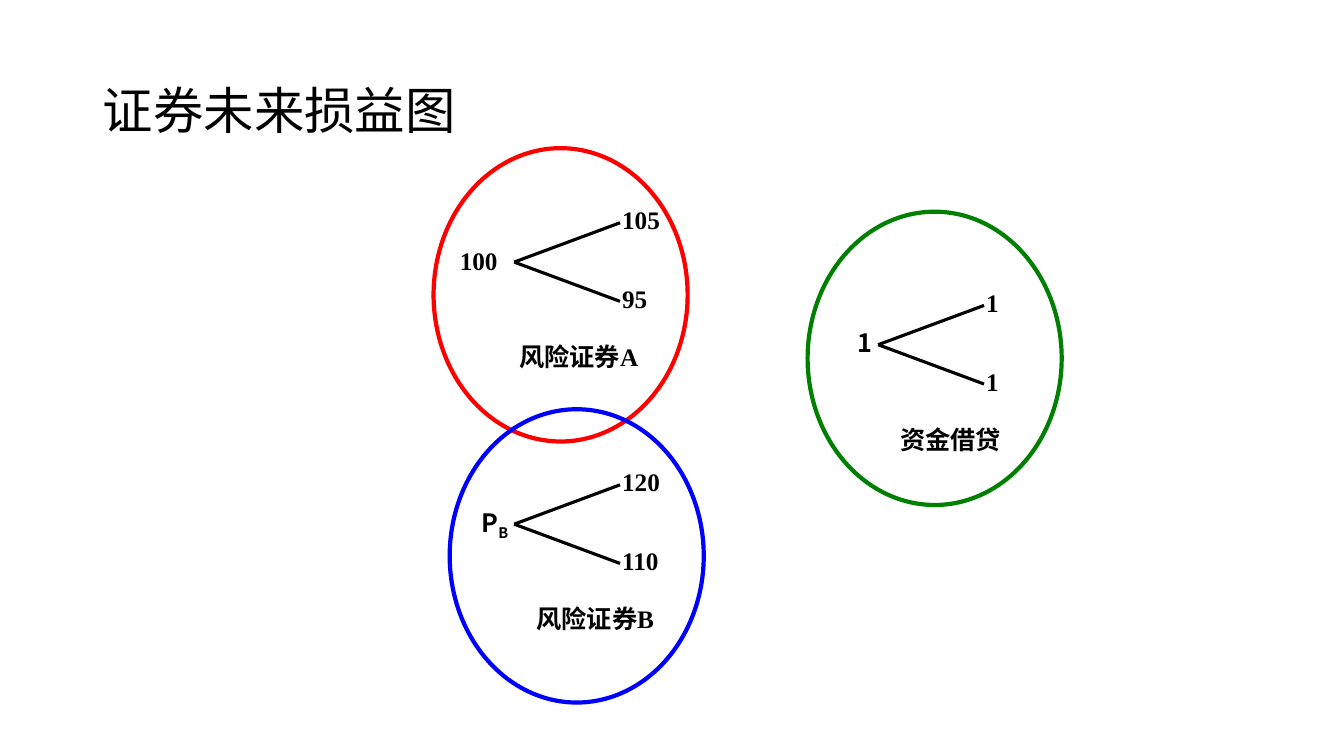
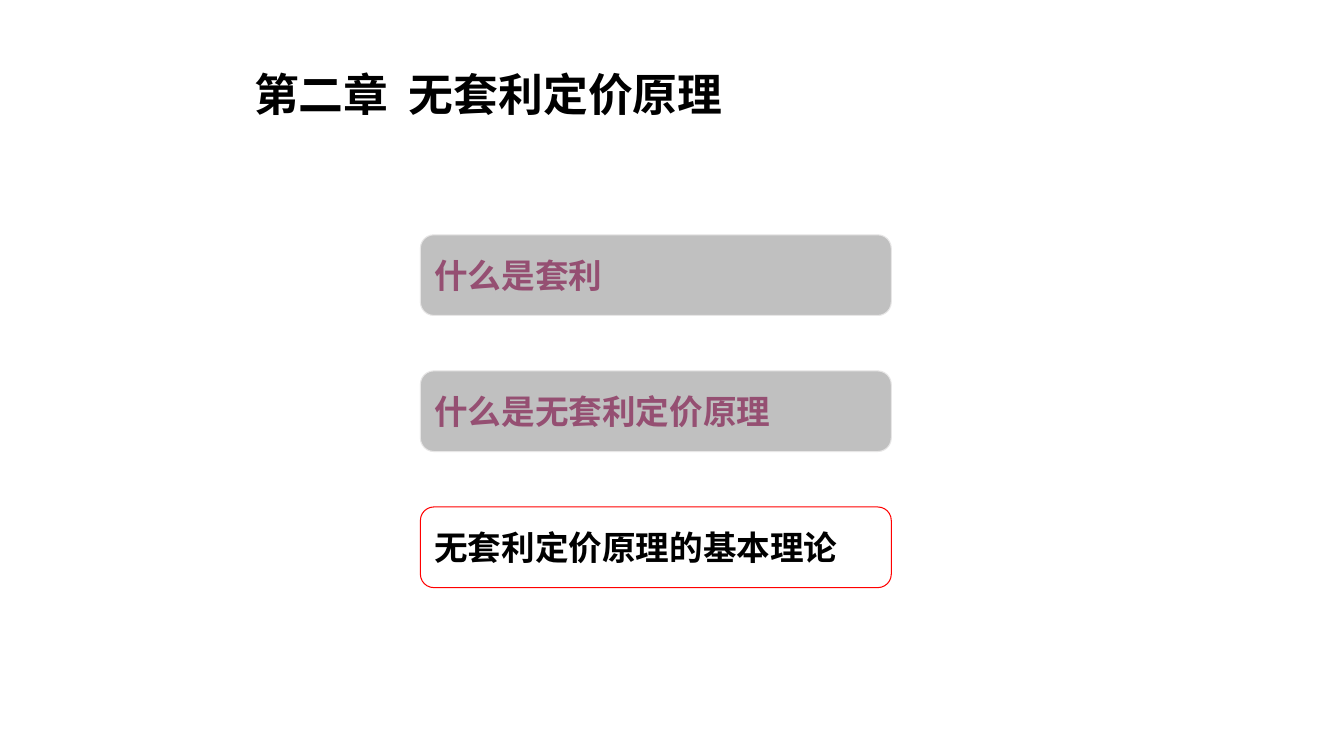
from lxml.etree import SubElement
from pptx import Presentation
from pptx.dml.color import RGBColor
from pptx.enum.shapes import MSO_CONNECTOR as Link, MSO_SHAPE as Form
from pptx.enum.text import MSO_ANCHOR as Anchor, MSO_AUTO_SIZE as Fit, PP_ALIGN as Align
from pptx.oxml.ns import qn
from pptx.util import Inches, Pt

BLACK = RGBColor(0x00, 0x00, 0x00)
WHITE = RGBColor(0xFF, 0xFF, 0xFF)
RED = RGBColor(0xFF, 0x00, 0x00)
BLUE = RGBColor(0x00, 0x00, 0xFF)
GREEN = RGBColor(0x00, 0x80, 0x00)
GREY = RGBColor(0xC0, 0xC0, 0xC0)
PALE = RGBColor(0xE7, 0xE6, 0xE6)
PLUM = RGBColor(0x95, 0x4F, 0x72)
SANS = "Noto Sans CJK SC"
SERIF = "Times New Roman"


def add_run(para, text, size, face=SANS, color=BLACK, bold=True):
    run = para.add_run()
    run.text = text
    font = run.font
    font.size, font.bold, font.name = Pt(size), bold, face
    font.color.rgb = color
    SubElement(run._r.get_or_add_rPr(), qn("a:ea"), typeface=SANS)
    return run


def add_slide(deck, box):
    slide = deck.slides.add_slide(deck.slide_layouts[5])
    slide.background.fill.solid()
    slide.background.fill.fore_color.rgb = WHITE
    title = slide.shapes.title
    title.left, title.top, title.width, title.height = map(Inches, box)
    frame = title.text_frame
    frame.auto_size = Fit.NONE
    frame.vertical_anchor = Anchor.MIDDLE
    para = frame.paragraphs[0]
    para.alignment, para.line_spacing = Align.LEFT, 0.9
    return slide, para


def add_label(slide, x, y, width, text="", face=SERIF, align=Align.JUSTIFY):
    box = slide.shapes.add_textbox(Inches(x), Inches(y), Inches(width), Inches(0.39))
    frame = box.text_frame
    frame.word_wrap = True
    frame.margin_left = frame.margin_right = Inches(0.02)
    frame.margin_top = frame.margin_bottom = Inches(0.01)
    para = frame.paragraphs[0]
    para.alignment = align
    add_run(para, text, 18, face)
    return para


def add_line(slide, x, y, end_x, end_y):
    line = slide.shapes.add_connector(
        Link.STRAIGHT, Inches(x), Inches(y), Inches(end_x), Inches(end_y))
    line.line.color.rgb = BLACK
    line.line.width = Pt(2.25)
    SubElement(line._element.spPr, qn("a:effectLst"))


def add_shape(slide, form, box, edge, width, fill=None):
    shape = slide.shapes.add_shape(form, *map(Inches, box))
    shape.shadow.inherit = False
    shape.line.color.rgb = edge
    shape.line.width = Pt(width)
    if fill is None:
        shape.fill.background()
    else:
        shape.fill.solid()
        shape.fill.fore_color.rgb = fill
    return shape


def add_tree(slide, x, y, price, ends, name, name_x, face=SANS, align=Align.RIGHT):
    para = add_label(slide, x - 0.56, y - 0.18, 0.52, price, face, align)
    tip = x + 1.05
    for text, step in zip(ends, (-0.39, 0.39)):
        add_label(slide, tip, y + step - 0.19, 0.52, text)
        add_line(slide, x, y, tip, y + step)
    add_label(slide, name_x, y + 0.78, 1.58, name)
    return para


def add_payoffs(deck):
    slide, title = add_slide(deck, (0.92, 0.4, 11.5, 1.45))
    add_run(title, "证券未来损益图", 36, bold=False)
    add_tree(slide, 5.1, 2.6, "100", ("105", "95"), "风险证券A", 5.13, SERIF, Align.JUSTIFY)
    price = add_tree(slide, 5.1, 5.2, "P", ("120", "110"), "风险证券B", 5.3)
    sub = add_run(price, "B", 18)
    sub._r.get_or_add_rPr().set("baseline", "-25000")
    add_tree(slide, 8.71, 3.42, "1", ("1", "1"), "资金借贷", 8.91)
    for x, y, color in ((4.3, 1.47, RED), (4.46, 4.06, BLUE), (8.01, 2.1, GREEN)):
        add_shape(slide, Form.OVAL, (x, y, 2.52, 2.91), color, 3)


def add_topics(deck):
    slide, title = add_slide(deck, (2.42, 0.5, 7.67, 0.92))
    add_run(title, "第二章", 32)
    gap = add_run(title, " ", 32)
    gap._r.get_or_add_rPr().set("spc", "700")
    add_run(title, "无套利定价原理", 32)
    topics = (
        ("什么是套利", PLUM, PALE, GREY),
        ("什么是无套利定价原理", PLUM, PALE, GREY),
        ("无套利定价原理的基本理论", BLACK, RED, None),
    )
    for row, (text, color, edge, fill) in enumerate(topics):
        box = (4.17, 2.33 + 1.35 * row, 4.67, 0.8)
        shape = add_shape(slide, Form.FLOWCHART_ALTERNATE_PROCESS, box, edge, 0.75, fill)
        frame = shape.text_frame
        frame.word_wrap = True
        frame.vertical_anchor = Anchor.MIDDLE
        para = frame.paragraphs[0]
        para.alignment = Align.LEFT
        add_run(para, text, 24, color=color)


def main():
    deck = Presentation()
    deck.slide_width, deck.slide_height = Inches(13.33), Inches(7.5)
    add_payoffs(deck)
    add_topics(deck)
    deck.save("out.pptx")


if __name__ == "__main__":
    main()
